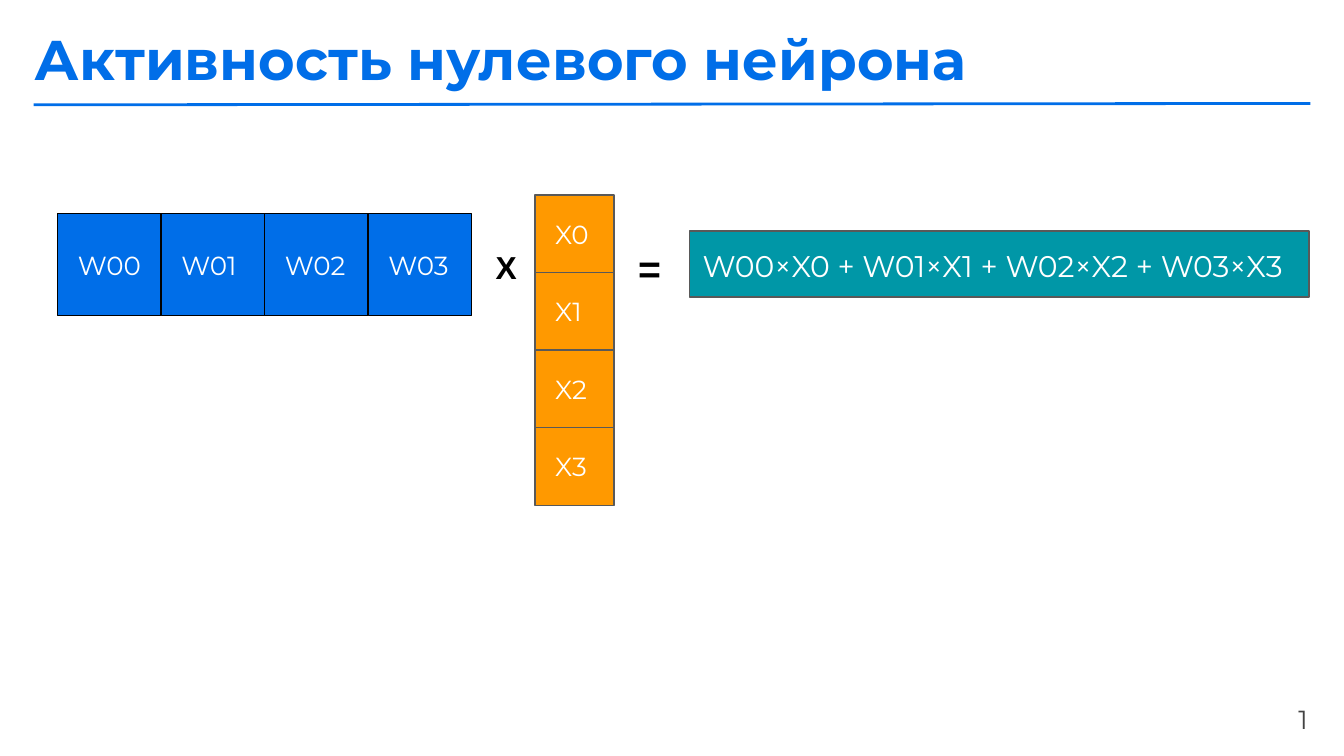
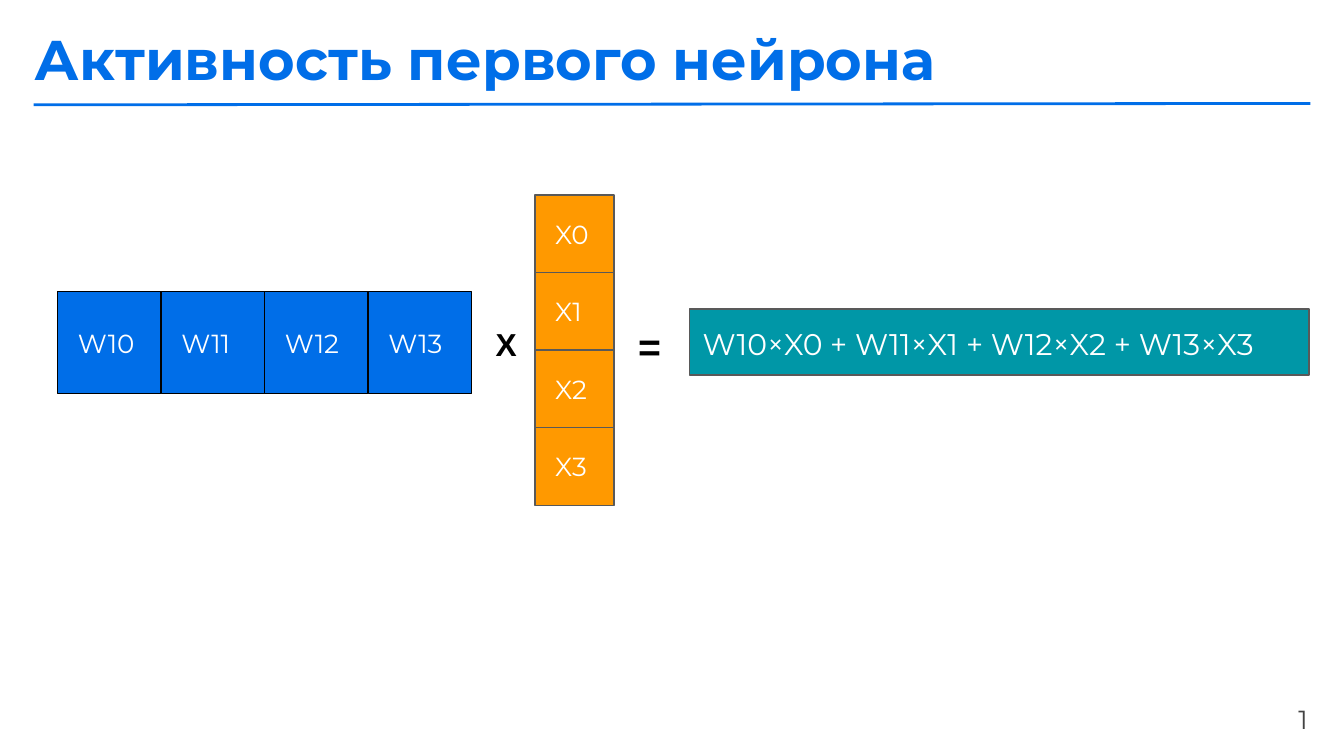
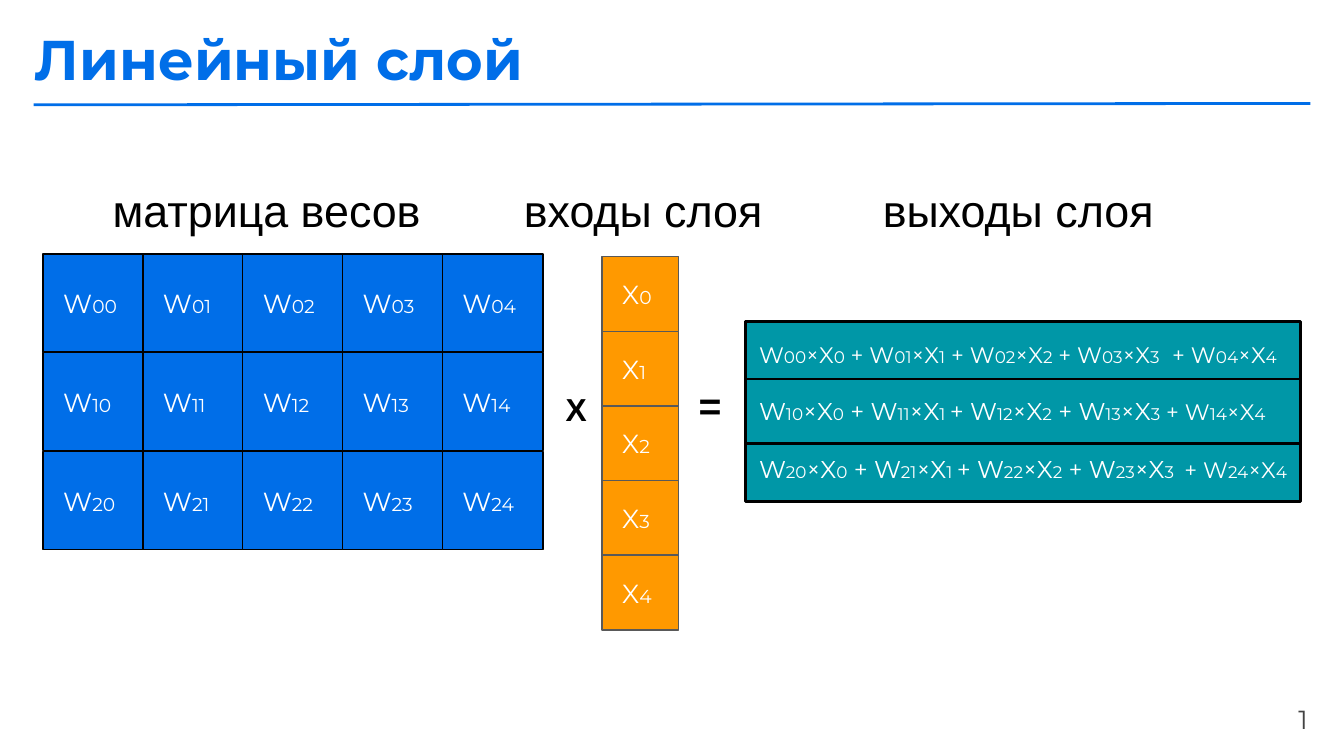
from itertools import groupby

from lxml import etree
from pptx import Presentation, util as u
from pptx.dml.color import RGBColor
from pptx.enum import shapes, text
from pptx.oxml.ns import qn

PX = 9144  # 100 px to the inch
SLIDE_WIDTH = 1000

BLUE = RGBColor(0x00, 0x6E, 0xE8)
ORANGE = RGBColor(0xFF, 0x99, 0x00)
TEAL = RGBColor(0x00, 0x97, 0xA7)
WHITE = RGBColor(0xFF, 0xFF, 0xFF)
BLACK = RGBColor(0x00, 0x00, 0x00)
GREY = RGBColor(0x59, 0x59, 0x59)
NUMBER_GREY = RGBColor(0x43, 0x43, 0x43)

BODY_FONT = "Montserrat"
SIGN_FONT = "Arial"
PAGE_NUMBER = "1"

# title, neuron index, top of its weight row
NEURONS = [
    ("Активность нулевого нейрона", 0, 159),
    ("Активность первого нейрона", 1, 217),
]
NEURON_SIZE = 4

LAYER_TITLE = "Линейный слой"
LAYER_ROWS, LAYER_SIZE = 3, 5
HEADINGS = [
    ("матрица весов", (74, 126, 267, 57)),
    ("входы слоя", (380, 126, 217, 57)),
    ("выходы слоя", (647, 126, 229, 58)),
]
# top and (text, size) pieces of each output; the middle one lies on top
OUTPUTS = [
    (239, [("W00×X0 + W01×X1 + W02×X2 + W03×X3", 12), (" ", 14), (" + W04×X4", 12)]),
    (325, [("W20×X0 + W21×X1", 13), (" ", 9), ("+ W22×X2 + W23×X3", 13), (" ", 9),
           (" + W24×X4", 12)]),
    (282, [("W10×X0 + W11×X1", 13), (" ", 9), ("+ W12×X2 + W13×X3", 13),
           (" + W14×X4", 12)]),
]


def emu(*lengths):
    return [round(length * PX) for length in lengths]


def spread(first, last, count):
    """Return evenly spaced positions from first to last."""
    return [first + (last - first) * i / (count - 1) for i in range(count)]


def write(shape, content, size=14, font=BODY_FONT, color=WHITE, bold=False,
          align=text.PP_ALIGN.LEFT, anchor=text.MSO_ANCHOR.TOP,
          left=10, right=10, index_size=None):
    """Write a string or (text, size) pieces; index_size shrinks the digits."""
    frame = shape.text_frame
    frame.word_wrap = True
    frame.auto_size = text.MSO_AUTO_SIZE.NONE
    frame.vertical_anchor = anchor
    frame.margin_left, frame.margin_right = emu(left, right)
    frame.margin_top, frame.margin_bottom = emu(10, 10)
    paragraph = frame.paragraphs[0]
    paragraph.alignment = align
    pieces = [(content, size)] if isinstance(content, str) else content
    for piece, piece_size in pieces:
        parts = groupby(piece, str.isdigit) if index_size else [(False, piece)]
        for is_index, letters in parts:
            run = paragraph.add_run()
            run.text = "".join(letters)
            run.font.size = u.Pt(index_size if is_index else piece_size)
            run.font.name = font
            run.font.bold = bold
            run.font.color.rgb = color


def add_label(slide, content, box, **style):
    write(slide.shapes.add_textbox(*emu(*box)), content, **style)


def add_cell(slide, content, box, fill, line, line_width=0.75, **style):
    cell = slide.shapes.add_shape(shapes.MSO_SHAPE.RECTANGLE, *emu(*box))
    cell.shadow.inherit = False
    cell.fill.solid()
    cell.fill.fore_color.rgb = fill
    cell.line.color.rgb = line
    cell.line.width = u.Pt(line_width)
    write(cell, content, anchor=text.MSO_ANCHOR.MIDDLE, **style)


def add_signs(slide, times_at, equals_at):
    for sign, at, size, extent in (("X", times_at, 17, (34, 39)),
                                   ("=", equals_at, 21, (40, 49))):
        add_label(slide, sign, at + extent, size=size, font=SIGN_FONT,
                  color=BLACK, bold=True)


def add_inputs(slide, x, tops, width, height, **style):
    for i, y in enumerate(tops):
        add_cell(slide, f"X{i}", (x, y, width, height), ORANGE, GREY, left=15, **style)


def add_weights(slide, row, lefts, y, width, height, **style):
    for column, x in enumerate(lefts):
        add_cell(slide, f"W{row}{column}", (x, y, width, height), BLUE, BLACK,
                 left=15, **style)


def add_slide(presentation, heading):
    """Add a slide with its title, rule and page number."""
    slide = presentation.slides.add_slide(presentation.slide_layouts[5])
    title = slide.shapes.title
    title.left, title.top, title.width, title.height = emu(16, 8, 751, 70)
    write(title, heading, size=30, color=BLUE, bold=True)
    rule = slide.shapes.add_connector(shapes.MSO_CONNECTOR.STRAIGHT,
                                      *emu(25, 78, 975, 77))
    rule.line.color.rgb = BLUE
    rule.line.width = u.Pt(1.5)
    etree.SubElement(rule._element.spPr, qn("a:effectLst"))
    add_label(slide, PAGE_NUMBER, (924, 513, 59, 39), color=NUMBER_GREY,
              align=text.PP_ALIGN.RIGHT)
    return slide


def add_neuron_slide(presentation, heading, row, top):
    slide = add_slide(presentation, heading)
    add_signs(slide, (359, top + 15), (465, top + 13))
    add_weights(slide, row, spread(43, 274, NEURON_SIZE), top, 77, 76)
    add_inputs(slide, 398, spread(145, 318, NEURON_SIZE), 59, 58)
    total = " + ".join(f"W{row}{i}×X{i}" for i in range(NEURON_SIZE))
    add_cell(slide, [(total, 16), (" ", 18)], (513, top + 13, 461, 49), TEAL, GREY,
             right=0)


def add_layer_slide(presentation):
    slide = add_slide(presentation, LAYER_TITLE)
    for row, y in enumerate(spread(189, 336, LAYER_ROWS)):
        add_weights(slide, row, spread(32, 329, LAYER_SIZE), y, 75, 73, index_size=10)
    add_inputs(slide, 448, spread(191, 413, LAYER_SIZE), 57, 56, index_size=10)
    for y, pieces in OUTPUTS:
        add_cell(slide, pieces, (555, y, 413, 48), TEAL, BLACK, line_width=1.5,
                 right=0, index_size=9)
    add_signs(slide, (411, 280), (510, 274))
    for heading, box in HEADINGS:
        add_label(slide, heading, box, size=24, font=SIGN_FONT, color=BLACK)


def main():
    presentation = Presentation()
    presentation.slide_width, presentation.slide_height = emu(
        SLIDE_WIDTH, SLIDE_WIDTH * 9 / 16)
    for neuron in NEURONS:
        add_neuron_slide(presentation, *neuron)
    add_layer_slide(presentation)
    presentation.save("out.pptx")


if __name__ == "__main__":
    main()
